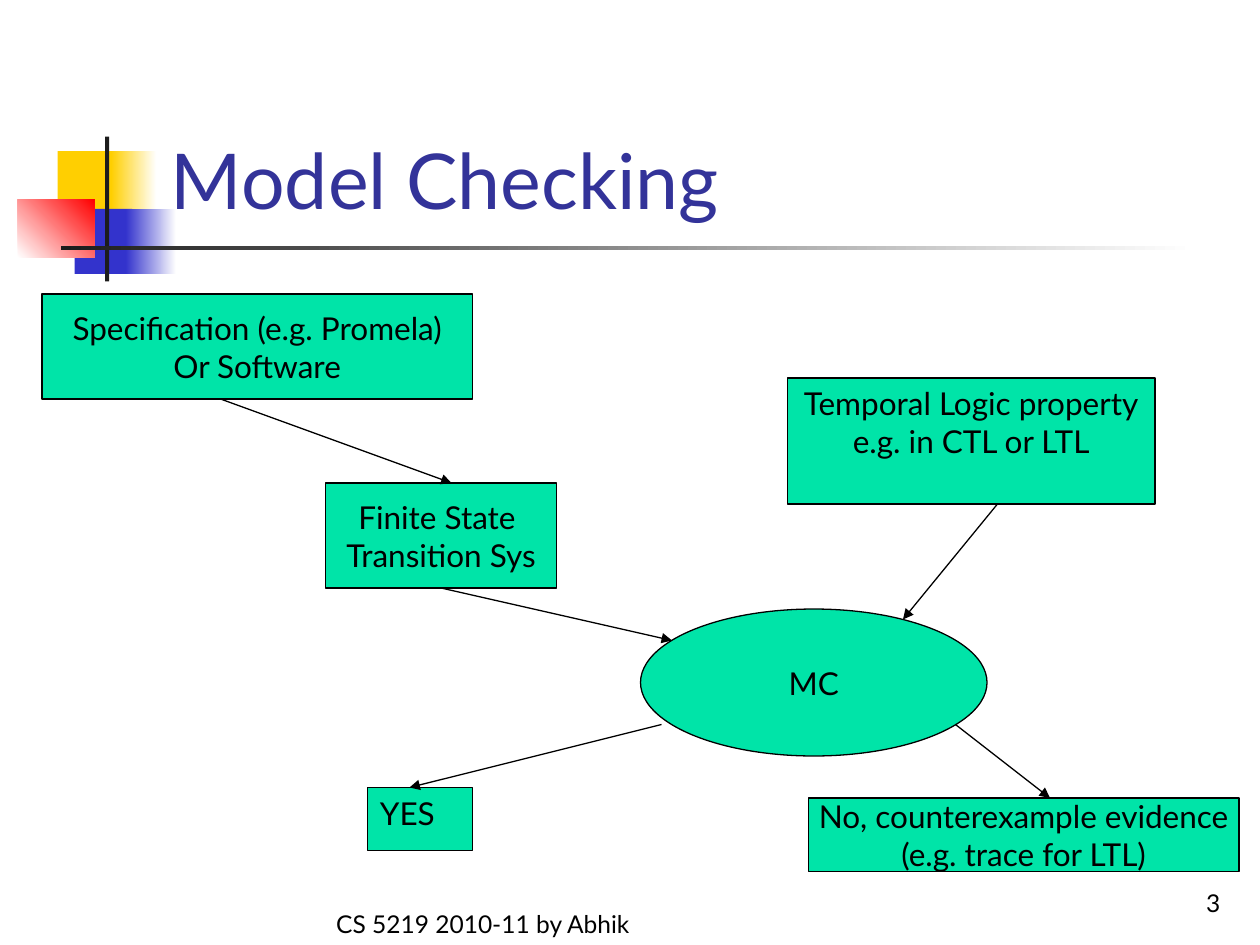
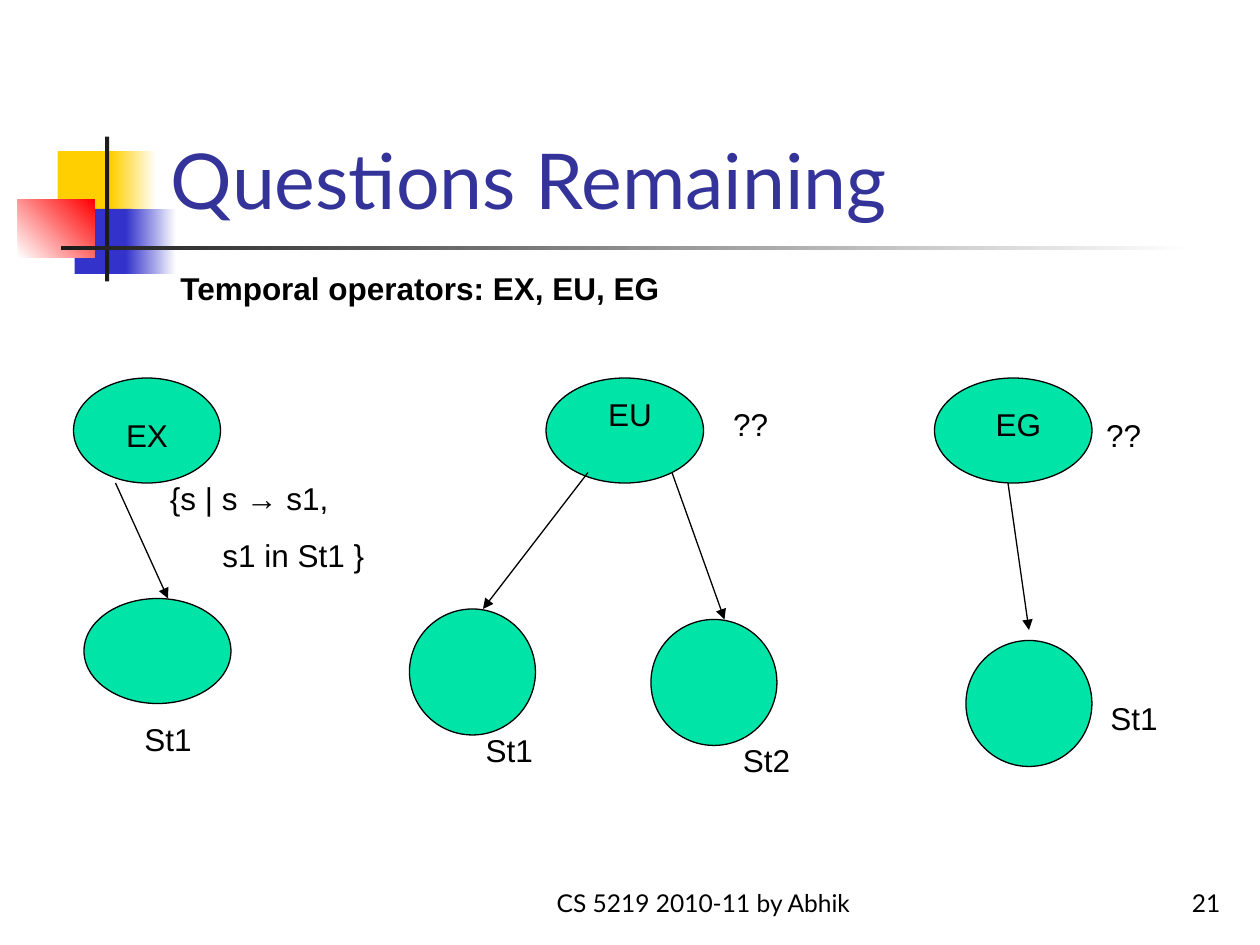
from lxml import etree
from pptx import Presentation
from pptx.dml.color import RGBColor
from pptx.enum.shapes import MSO_CONNECTOR, MSO_SHAPE
from pptx.enum.text import MSO_ANCHOR, PP_ALIGN
from pptx.oxml.ns import qn
from pptx.util import Pt

RECT, OVAL = MSO_SHAPE.RECTANGLE, MSO_SHAPE.OVAL
STRAIGHT = MSO_CONNECTOR.STRAIGHT
LEFT, CENTER, RIGHT = PP_ALIGN.LEFT, PP_ALIGN.CENTER, PP_ALIGN.RIGHT
TOP, MIDDLE, BOTTOM = MSO_ANCHOR.TOP, MSO_ANCHOR.MIDDLE, MSO_ANCHOR.BOTTOM
BOTTOM_SITE = 2

EMU_PER_PX = 7620  # 120 px to the inch
SLIDE_W, SLIDE_H = 1200, 900
LATO, ARIAL = "Lato", "Arial"
BLACK, WHITE, INK = "000000", "FFFFFF", "1C1C1C"
GREEN, TITLE_BLUE = "00E4A8", "333399"
YELLOW, BLUE, RED = "FFCF01", "3333CC", "FF0000"

TITLE_BOX = (151, 28, 1022, 192)
NUMBER_BOX = (924, 820, 250, 60)
FOOTER_SIZE = (380, 60)
FOOTER_TEXT = "CS 5219 2010-11 by Abhik"
MOTIF_ORIGIN = (17, 130)
# Box, start colour, end colour (None for a solid fill), angle
MOTIF = [
    ((38, 14, 58, 62), YELLOW, None, 0),
    ((89, 14, 43, 62), YELLOW, WHITE, 0),
    ((54, 69, 55, 62), BLUE, None, 0),
    ((103, 69, 48, 62), BLUE, WHITE, 0),
    ((0, 60, 73, 55), WHITE, RED, 45),
    ((83, 0, 4, 138), INK, None, 0),
    ((41, 104, 1080, 4), INK, WHITE, 0),
]


def px(*lengths):
    return [length * EMU_PER_PX for length in lengths]


def rgb(hex_colour):
    return RGBColor.from_string(hex_colour)


def offset(origin, box):
    """Shift a point or a box by the origin of its region."""
    return (origin[0] + box[0], origin[1] + box[1], *box[2:])


def write(shape, lines, size=18, font=LATO, colour=BLACK, bold=False,
          align=CENTER, anchor=MIDDLE, wrap=True, space_before=0, indents=()):
    frame = shape.text_frame
    frame.word_wrap = wrap
    frame.vertical_anchor = anchor
    for i, line in enumerate(lines):
        paragraph = frame.paragraphs[0] if i == 0 else frame.add_paragraph()
        paragraph.alignment = align
        paragraph.space_before = Pt(space_before)
        if i < len(indents):
            paragraph._p.get_or_add_pPr().set("marL", str(px(indents[i])[0]))
        run = paragraph.add_run()
        run.text = line
        run.font.size = Pt(size)
        run.font.name = font
        run.font.bold = bold
        run.font.color.rgb = rgb(colour)


def add_text(slide, box, lines, **style):
    write(slide.shapes.add_textbox(*px(*box)), lines, **style)


def add_label(slide, box, lines, align=CENTER, **style):
    add_text(slide, box, lines, font=ARIAL, align=align, anchor=TOP,
             space_before=11.2, **style)


def add_node(slide, kind, box):
    node = slide.shapes.add_shape(kind, *px(*box))
    node.shadow.inherit = False
    node.fill.solid()
    node.fill.fore_color.rgb = rgb(GREEN)
    node.line.color.rgb = rgb(BLACK)
    node.line.width = Pt(0.75)
    return node


def add_arrow(slide, start, end):
    arrow = slide.shapes.add_connector(STRAIGHT, *px(*start, *end))
    arrow.line.color.rgb = rgb(BLACK)
    arrow.line.width = Pt(0.75)
    properties = arrow.element.spPr
    head = etree.SubElement(properties.find(qn("a:ln")), qn("a:tailEnd"))
    head.set("type", "triangle")
    etree.SubElement(properties, qn("a:effectLst"))
    return arrow


def add_motif(slide, origin):
    """Coloured squares, upright bar and fading rule beside the title."""
    for box, start, end, angle in MOTIF:
        piece = slide.shapes.add_shape(RECT, *px(*offset(origin, box)))
        piece.shadow.inherit = False
        piece.line.fill.background()
        if end is None:
            piece.fill.solid()
            piece.fill.fore_color.rgb = rgb(start)
        else:
            piece.fill.gradient()
            piece.fill.gradient_angle = angle
            for stop, colour in zip(piece.fill.gradient_stops, (start, end)):
                stop.color.rgb = rgb(colour)


def add_base_slide(deck, title, number, footer_at):
    slide = deck.slides.add_slide(deck.slide_layouts[6])
    add_motif(slide, MOTIF_ORIGIN)
    add_text(slide, (*footer_at, *FOOTER_SIZE), [FOOTER_TEXT], size=14, anchor=BOTTOM)
    add_text(slide, NUMBER_BOX, [number], size=14, align=RIGHT, anchor=BOTTOM)
    add_text(slide, TITLE_BOX, [title], size=44, colour=TITLE_BLUE,
             align=LEFT, anchor=BOTTOM)
    return slide


def add_checking_flow(slide, origin):
    """Specification and property feed the checker, which gives a verdict."""
    def step(kind, box, lines, **style):
        node = add_node(slide, kind, offset(origin, box))
        write(node, lines, wrap=False, **style)
        return node

    def flow(start, end):
        return add_arrow(slide, offset(origin, start), offset(origin, end))

    # Inputs
    step(RECT, (0, 0, 410, 100), ["Specification (e.g. Promela)", "Or Software"])
    transition_system = step(RECT, (270, 180, 220, 100),
                             ["Finite State ", "Transition Sys"])
    step(RECT, (710, 80, 350, 120),
         ["Temporal Logic property", "e.g. in CTL or LTL"], anchor=TOP)
    # Checker and verdicts
    step(OVAL, (570, 300, 330, 140), ["MC"])
    step(RECT, (310, 470, 100, 60), ["YES"], align=LEFT, anchor=TOP)
    step(RECT, (730, 480, 410, 70),
         ["No, counterexample evidence", "(e.g. trace for LTL)"])
    # Arrows
    flow((170, 100), (390, 180))
    flow((380, 280), (600, 330)).begin_connect(transition_system, BOTTOM_SITE)
    flow((910, 200), (820, 310))
    flow((590, 410), (350, 470))
    flow((870, 410), (960, 480))


def add_operator_tree(slide, origin, nodes, arrows, labels):
    """One temporal operator above the states it depends on."""
    for node in nodes:
        add_node(slide, OVAL, offset(origin, node))
    for start, end in arrows:
        add_arrow(slide, offset(origin, start), offset(origin, end))
    for text, left, top, width in labels:
        add_label(slide, offset(origin, (left, top, width, 48)), [text])


def build_model_checking(deck):
    slide = add_base_slide(deck, "Model Checking", "3", (270, 840))
    add_checking_flow(slide, (40, 280))


def build_questions(deck):
    slide = add_base_slide(deck, "Questions Remaining", "21", (480, 820))
    add_label(slide, (160, 250, 990, 48), ["Temporal operators: EX, EU, EG"],
              bold=True, align=LEFT)
    # EX with its set of states
    add_operator_tree(
        slide, (70, 360),
        nodes=[(0, 0, 140, 100), (10, 210, 140, 100)],
        arrows=[((40, 100), (90, 210))],
        labels=[("EX", 20, 30, 100), ("St1", 20, 320, 140)])
    add_label(slide, (150, 450, 340, 103), ["{s | s → s1,", "s1 in St1 }"],
              align=LEFT, indents=(0, 50))
    # EU
    add_operator_tree(
        slide, (390, 360),
        nodes=[(130, 0, 150, 100), (0, 220, 120, 120), (230, 230, 120, 120)],
        arrows=[((170, 90), (70, 220)), ((250, 90), (300, 230))],
        labels=[("EU", 150, 10, 120), ("St1", 20, 330, 150),
                ("St2", 280, 340, 120), ("??", 260, 20, 130)])
    # EG
    add_operator_tree(
        slide, (890, 360),
        nodes=[(0, 0, 150, 100), (30, 250, 120, 120)],
        arrows=[((70, 100), (90, 240))],
        labels=[("EG", 30, 20, 100), ("St1", 130, 300, 120), ("??", 100, 30, 160)])


def main():
    deck = Presentation()
    deck.slide_width, deck.slide_height = px(SLIDE_W, SLIDE_H)
    build_model_checking(deck)
    build_questions(deck)
    deck.save("out.pptx")


if __name__ == "__main__":
    main()
